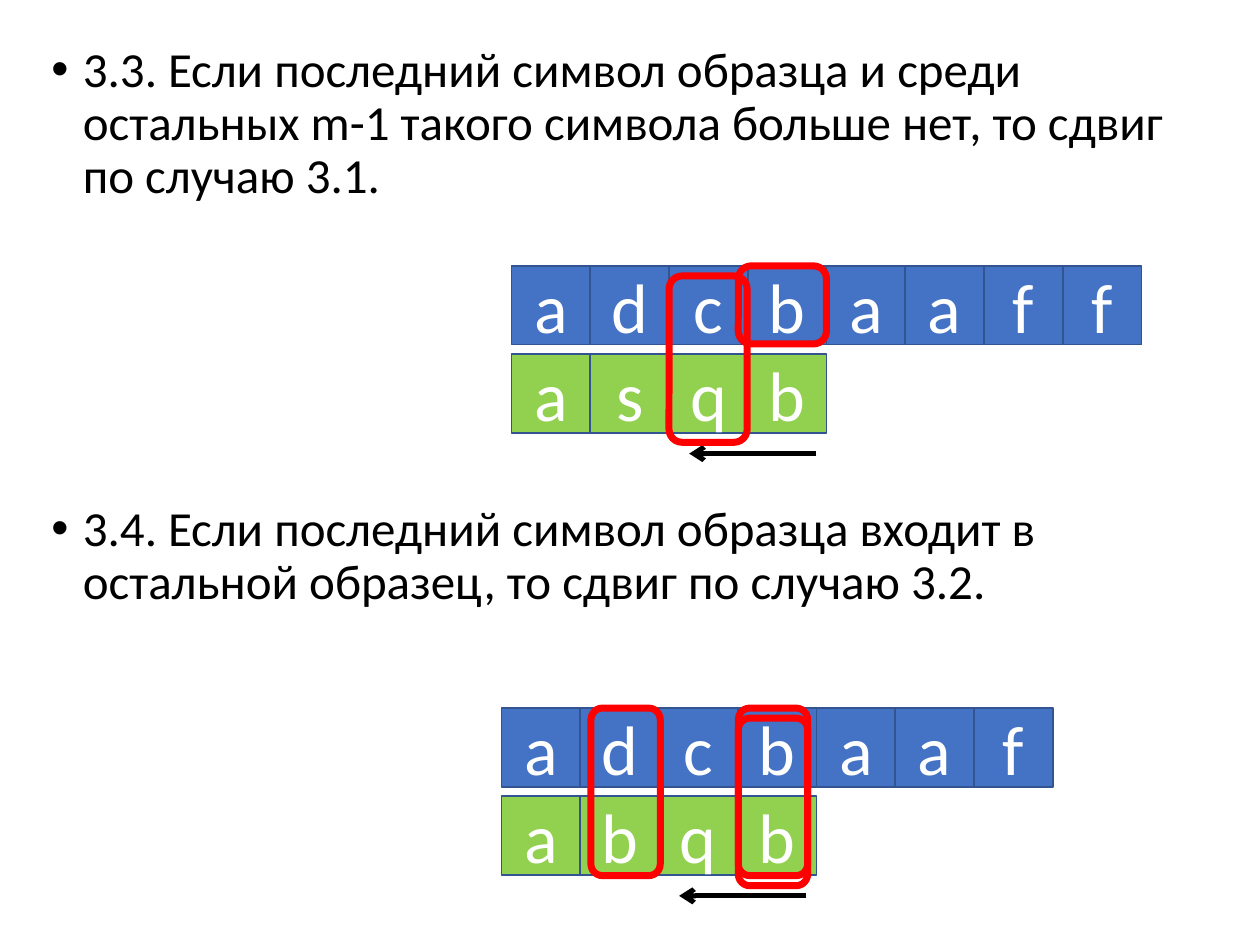
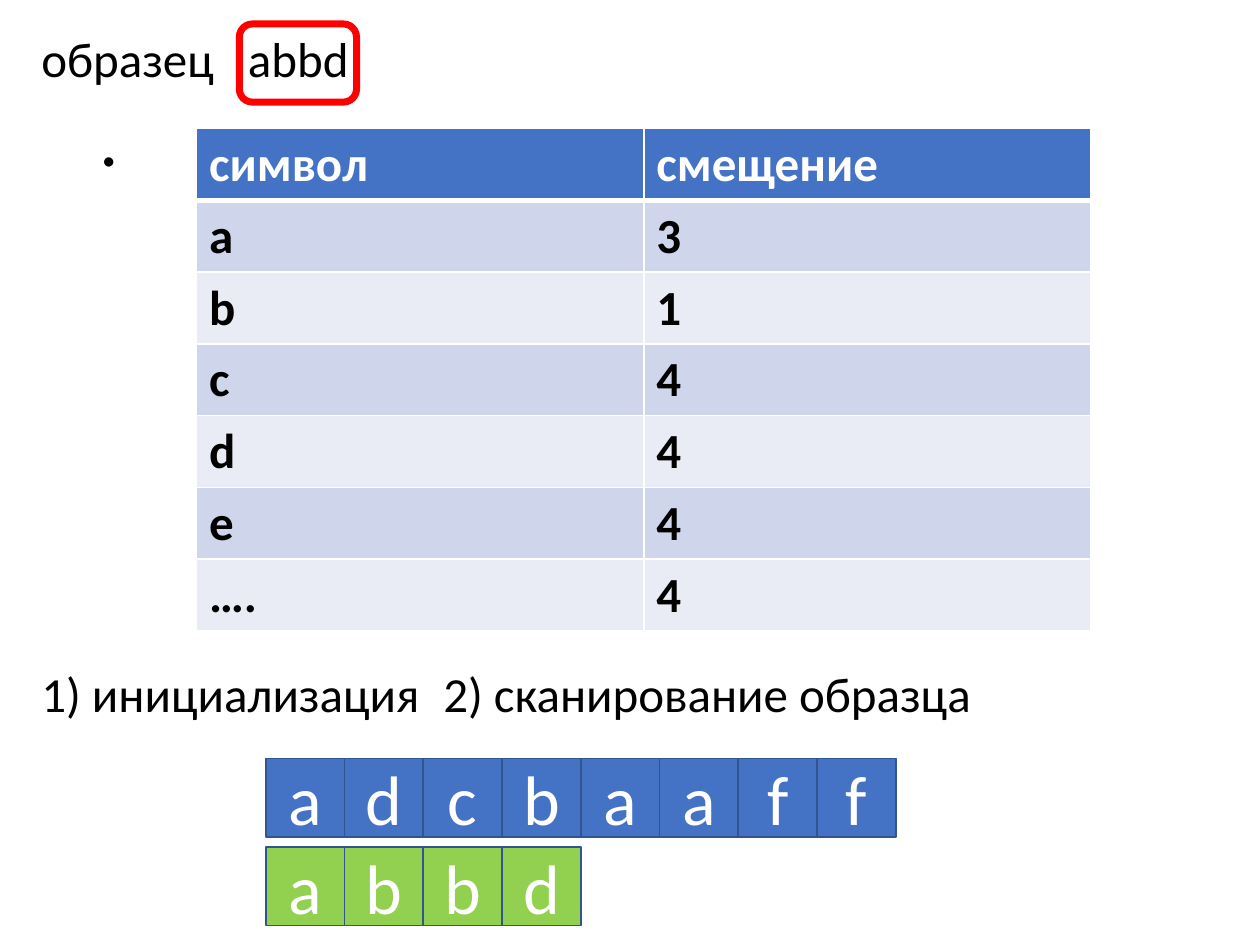
"""Build two slides on pattern shifts in a string search."""
from dataclasses import dataclass

from lxml.etree import SubElement
from pptx import Presentation
from pptx.dml.color import RGBColor
from pptx.enum.shapes import MSO_CONNECTOR, MSO_SHAPE
from pptx.enum.text import MSO_ANCHOR, PP_ALIGN
from pptx.oxml.ns import qn
from pptx.shapes.shapetree import GroupShapes
from pptx.slide import Slide
from pptx.table import _Cell
from pptx.text.text import _Paragraph
from pptx.util import Inches, Pt

COLORS = {
    "text": "000000",
    "white": "FFFFFF",
    "source": "4472C4",
    "pattern": "92D050",
    "edge": "325491",
    "frame": "FF0000",
    "odd_row": "CFD5EA",
    "even_row": "E9EBF5",
}
FONT = "Calibri"
CELL = Inches(5) // 8
PATTERN_DROP = Inches(0.7)


@dataclass(frozen=True)
class Statement:
    left: float
    top: float
    width: float
    height: float
    text: str
    bulleted: bool = False
    tab: float = 0


@dataclass(frozen=True)
class Alignment:
    left: float
    top: float
    source: str
    pattern: str
    arrow: bool = False


@dataclass(frozen=True)
class Frame:
    left: float
    top: float
    width: float
    height: float


CASES = [
    Statement(0.31, 0.31, 9.34, 1.4, "3.3. Если последний символ образца и среди остальных m-1 "
              "такого символа больше нет, то сдвиг по случаю 3.1.", bulleted=True),
    Statement(0.31, 3.95, 9.34, 1, "3.4. Если последний символ образца входит в остальной "
              "образец, то сдвиг по случаю 3.2.", bulleted=True),
]
CASE_ALIGNMENTS = [
    Alignment(4.06, 2.11, "adсbaaff", "asqb", arrow=True),
    Alignment(3.98, 5.62, "adсbaaf", "abqb", arrow=True),
]
CASE_FRAMES = [
    Frame(5.86, 2.11, 0.7, 0.62),
    Frame(5.31, 2.19, 0.62, 1.32),
    Frame(5.86, 5.62, 0.55, 1.33),
    Frame(4.69, 5.62, 0.55, 1.33),
    Frame(5.86, 5.7, 0.55, 1.33),
]
STEPS = [
    Statement(0.23, 0.23, 9.77, 0.55, "образец\tabbd", tab=1.64),
    Statement(0.23, 5.27, 9.77, 0.55, "1) инициализация\t2) сканирование образца", tab=3.19),
]
SHIFTS = [("символ", "смещение"), ("a", "3"), ("b", "1"), ("c", "4"),
          ("d", "4"), ("e", "4"), ("….", "4")]


def color(key: str) -> RGBColor:
    """Return a palette colour."""
    return RGBColor.from_string(COLORS[key])


def add_run(paragraph: _Paragraph, text: str, size: int, tint: str = "text",
            bold: bool = False) -> None:
    """Append a formatted run."""
    run = paragraph.add_run()
    run.text = text
    run.font.name = FONT
    run.font.size = Pt(size)
    run.font.bold = bold
    run.font.color.rgb = color(tint)


def add_statement(slide: Slide, statement: Statement) -> None:
    """Write a statement with its bullet or tab stop."""
    box = slide.shapes.add_textbox(Inches(statement.left), Inches(statement.top),
                                   Inches(statement.width), Inches(statement.height))
    box.text_frame.word_wrap = True
    paragraph = box.text_frame.paragraphs[0]
    paragraph.line_spacing = 0.9
    properties = paragraph._p.get_or_add_pPr()
    if statement.bulleted:
        properties.set("marL", str(Inches(0.25)))
        properties.set("indent", str(-Inches(0.25)))
        SubElement(properties, qn("a:buFont"), typeface="Arial")
        SubElement(properties, qn("a:buChar"), char="•")
    if statement.tab:
        stops = SubElement(properties, qn("a:tabLst"))
        SubElement(stops, qn("a:tab"), pos=str(Inches(statement.tab)), algn="l")
    add_run(paragraph, statement.text, 28)


def add_letters(shapes: GroupShapes, left: int, top: int, letters: str, fill: str) -> None:
    """Draw a row of square letter cells."""
    for index, letter in enumerate(letters):
        square = shapes.add_shape(MSO_SHAPE.RECTANGLE, left + index * CELL, top, CELL, CELL)
        square.shadow.inherit = False
        square.fill.solid()
        square.fill.fore_color.rgb = color(fill)
        square.line.color.rgb = color("edge")
        square.line.width = Pt(1)
        square.text_frame.vertical_anchor = MSO_ANCHOR.MIDDLE
        paragraph = square.text_frame.paragraphs[0]
        paragraph.alignment = PP_ALIGN.CENTER
        add_run(paragraph, letter, 40, "white")


def add_scan_arrow(shapes: GroupShapes, left: int, top: int) -> None:
    """Draw the right-to-left scan arrow under a pattern."""
    level = top + Inches(1.49)
    arrow = shapes.add_connector(MSO_CONNECTOR.STRAIGHT, left + Inches(2.42), level,
                                 left + Inches(1.41), level)
    arrow.line.color.rgb = color("text")
    arrow.line.width = Pt(2.75)
    SubElement(arrow.line._get_or_add_ln(), qn("a:tailEnd"), type="arrow")
    SubElement(arrow._element.spPr, qn("a:effectLst"))


def add_alignment(slide: Slide, alignment: Alignment) -> None:
    """Draw a source string with its pattern below."""
    left, top = Inches(alignment.left), Inches(alignment.top)
    add_letters(slide.shapes, left, top, alignment.source, "source")
    pattern = slide.shapes.add_group_shape().shapes
    if alignment.arrow:
        add_scan_arrow(pattern, left, top)
    add_letters(pattern, left, top + PATTERN_DROP, alignment.pattern, "pattern")


def add_frame(slide: Slide, frame: Frame) -> None:
    """Draw a red rounded highlight."""
    highlight = slide.shapes.add_shape(
        MSO_SHAPE.ROUNDED_RECTANGLE, Inches(frame.left), Inches(frame.top),
        Inches(frame.width), Inches(frame.height))
    highlight.shadow.inherit = False
    highlight.fill.background()
    highlight.line.color.rgb = color("frame")
    highlight.line.width = Pt(4)


def set_borders(cell: _Cell, widths: dict[str, int]) -> None:
    """Give a table cell white borders of the given widths."""
    properties = cell._tc.get_or_add_tcPr()
    for position, (side, width) in enumerate(widths.items()):
        border = properties.makeelement(qn(f"a:{side}"), {"w": str(Pt(width))})
        fill = SubElement(border, qn("a:solidFill"))
        SubElement(fill, qn("a:srgbClr"), val=COLORS["white"])
        properties.insert(position, border)


def add_shift_table(slide: Slide) -> None:
    """Add the table of shifts by symbol."""
    table = slide.shapes.add_table(len(SHIFTS), 2, Inches(1.56), Inches(1.02),
                                   Inches(7.1), Inches(0.57) * len(SHIFTS)).table
    for row, values in enumerate(SHIFTS):
        header = row == 0
        fill = "source" if header else "odd_row" if row % 2 else "even_row"
        for column, value in enumerate(values):
            cell = table.cell(row, column)
            cell.fill.solid()
            cell.fill.fore_color.rgb = color(fill)
            set_borders(cell, {"lnL": 1, "lnR": 1, "lnT": 3 if row == 1 else 1,
                               "lnB": 3 if header else 1})
            add_run(cell.text_frame.paragraphs[0], value, 28,
                    "white" if header else "text", bold=True)


def add_title(slide: Slide, text: str) -> None:
    """Place and format the slide title."""
    title = slide.shapes.title
    title.left, title.top = Inches(0.69), Inches(0.4)
    title.width, title.height = Inches(8.62), Inches(1.45)
    title.text_frame.vertical_anchor = MSO_ANCHOR.MIDDLE
    paragraph = title.text_frame.paragraphs[0]
    paragraph.alignment = PP_ALIGN.LEFT
    paragraph.line_spacing = 0.9
    add_run(paragraph, text, 44)


def build_cases(slide: Slide) -> None:
    """Show the shift cases 3.3 and 3.4."""
    for case in CASES:
        add_statement(slide, case)
    for alignment in CASE_ALIGNMENTS:
        add_alignment(slide, alignment)
    for frame in CASE_FRAMES:
        add_frame(slide, frame)


def build_example(slide: Slide) -> None:
    """Show the shift table for a sample pattern."""
    add_title(slide, ".")
    for step in STEPS:
        add_statement(slide, step)
    add_shift_table(slide)
    add_frame(slide, Frame(1.9, 0.19, 0.93, 0.62))
    add_alignment(slide, Alignment(2.11, 6.02, "adсbaaff", "abbd"))


def main() -> None:
    """Build and save the presentation."""
    presentation = Presentation()
    presentation.slide_width, presentation.slide_height = Inches(10), Inches(7.5)
    title_only, blank = presentation.slide_layouts[5], presentation.slide_layouts[6]
    build_cases(presentation.slides.add_slide(blank))
    build_example(presentation.slides.add_slide(title_only))
    presentation.save("out.pptx")


if __name__ == "__main__":
    main()
